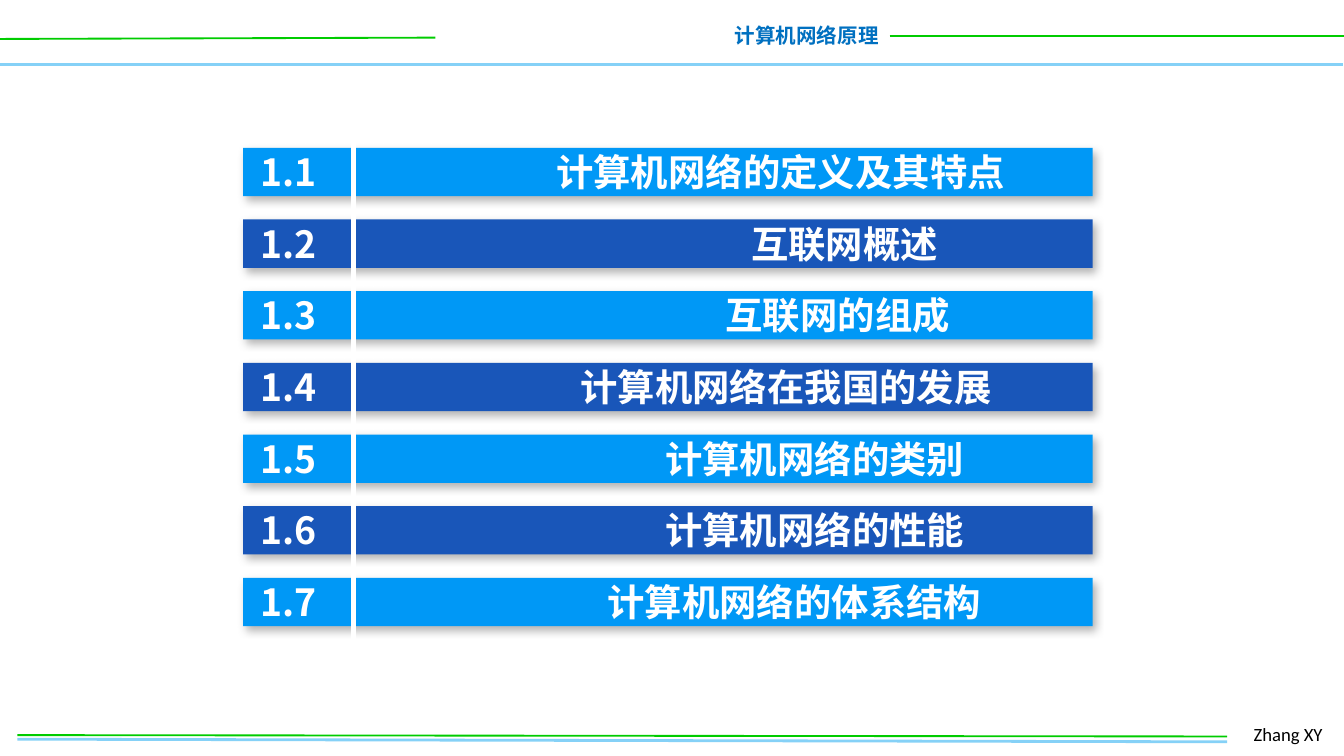
from lxml.etree import SubElement
from pptx import Presentation
from pptx.dml.color import RGBColor
from pptx.enum.shapes import MSO_CONNECTOR, MSO_SHAPE
from pptx.enum.text import MSO_ANCHOR, MSO_AUTO_SIZE, PP_ALIGN
from pptx.oxml.ns import qn
from pptx.util import Inches, Pt

COLORS = {
    "sky": "85D1F7", "green": "00CC00", "title": "0070C0", "black": "000000",
    "bright": "0098F6", "deep": "1956B9", "white": "FFFFFF",
}
CHINESE_FONT = "Noto Sans CJK SC"
FIRST_ROW, ROW_PITCH = 1.1, 3.2 / 6
BAR_LEFT, BAR_WIDTH, BAR_HEIGHT = 1.81, 6.32, 0.36
SECTIONS = [
    ("计算机网络的定义及其特点", 2.2),
    ("互联网概述", 3.65),
    ("互联网的组成", 3.46),
    ("计算机网络在我国的发展", 2.38),
    ("计算机网络的类别", 3.01),
    ("计算机网络的性能", 3.01),
    ("计算机网络的体系结构", 2.58),
]
RULES = [
    ((-0.01, 0.48), (9.99, 0.48), "sky", 2),
    ((0, 0.29), (3.24, 0.28), "green", 1),
    ((6.62, 0.27), (10.01, 0.27), "green", 1),
    ((0.13, 5.5), (9.13, 5.52), "sky", 1.5),
    ((0.13, 5.47), (9.13, 5.48), "green", 1),
]


def color(name):
    """Return the named palette colour."""
    return RGBColor.from_string(COLORS[name])


def add_rule(page, start, end, name, width):
    """Draw a straight line without a shadow."""
    line = page.shapes.add_connector(
        MSO_CONNECTOR.STRAIGHT, *(Inches(value) for value in start + end))
    line.line.color.rgb = color(name)
    line.line.width = Pt(width)
    SubElement(line._element.spPr, qn("a:effectLst"))


def add_shadow(shape):
    """Give a shape a soft shadow to its lower right."""
    effects = SubElement(shape._element.spPr, qn("a:effectLst"))
    shadow = SubElement(effects, qn("a:outerShdw"), blurRad=str(Pt(4.5)),
                        dist=str(Pt(2.6)), dir=str(53 * 60000), algn="tl",
                        rotWithShape="0")
    tint = SubElement(shadow, qn("a:srgbClr"), val=COLORS["black"])
    SubElement(tint, qn("a:alpha"), val="30000")


def style_text(para, size, name, font=CHINESE_FONT, bold=True):
    """Set the font of a paragraph for Latin and Chinese letters."""
    para.font.size = Pt(size)
    para.font.bold = bold
    para.font.color.rgb = color(name)
    para.font.name = font
    SubElement(para.font._element, qn("a:ea"), typeface=font)


def add_text_box(page, left, top, width, height, text):
    """Add a wrapping text box and return its paragraph."""
    box = page.shapes.add_textbox(
        *(Inches(value) for value in (left, top, width, height)))
    box.text_frame.word_wrap = True
    para = box.text_frame.paragraphs[0]
    para.text = text
    return para


def add_title(page, text):
    """Place the course title between the header lines."""
    title = page.shapes.title
    title.left, title.top = Inches(5.36), Inches(0.12)
    title.width, title.height = Inches(1.28), Inches(0.29)
    frame = title.text_frame
    frame.text = text
    frame.auto_size = MSO_AUTO_SIZE.NONE
    frame.word_wrap = False
    frame.vertical_anchor = MSO_ANCHOR.TOP
    para = frame.paragraphs[0]
    para.alignment = PP_ALIGN.RIGHT
    style_text(para, 11, "title")


def add_bar(page, row):
    """Draw the coloured bar of one row."""
    bar = page.shapes.add_shape(
        MSO_SHAPE.RECTANGLE, Inches(BAR_LEFT),
        Inches(FIRST_ROW + row * ROW_PITCH), Inches(BAR_WIDTH), Inches(BAR_HEIGHT))
    bar.fill.solid()
    bar.fill.fore_color.rgb = color("deep" if row % 2 else "bright")
    bar.line.fill.background()
    add_shadow(bar)


def add_section(page, row, heading, tab):
    """Write the number and, at a tab stop, the heading of one row."""
    para = add_text_box(page, BAR_LEFT + 0.03, FIRST_ROW + row * ROW_PITCH - 0.04,
                        BAR_WIDTH, 0.44, f"1.{row + 1}\t{heading}")
    stops = SubElement(para._p.get_or_add_pPr(), qn("a:tabLst"))
    SubElement(stops, qn("a:tab"), pos=str(Inches(tab)), algn="l")
    style_text(para, 20, "white")


def main():
    """Build the contents slide and save it."""
    deck = Presentation()
    deck.slide_width = Inches(10)
    deck.slide_height = Inches(10 * 9 / 16)
    page = deck.slides.add_slide(deck.slide_layouts[5])
    for rule in RULES:
        add_rule(page, *rule)
    add_title(page, "计算机网络原理")
    author = add_text_box(page, 9.23, 5.33, 0.74, 0.27, "Zhang XY")
    style_text(author, 10, "black", "Calibri", False)
    for row in range(len(SECTIONS)):
        add_bar(page, row)
    add_rule(page, (2.63, 0.9), (2.63, 5.18), "white", 2.25)
    for row, (heading, tab) in enumerate(SECTIONS):
        add_section(page, row, heading, tab)
    deck.save("out.pptx")


if __name__ == "__main__":
    main()
